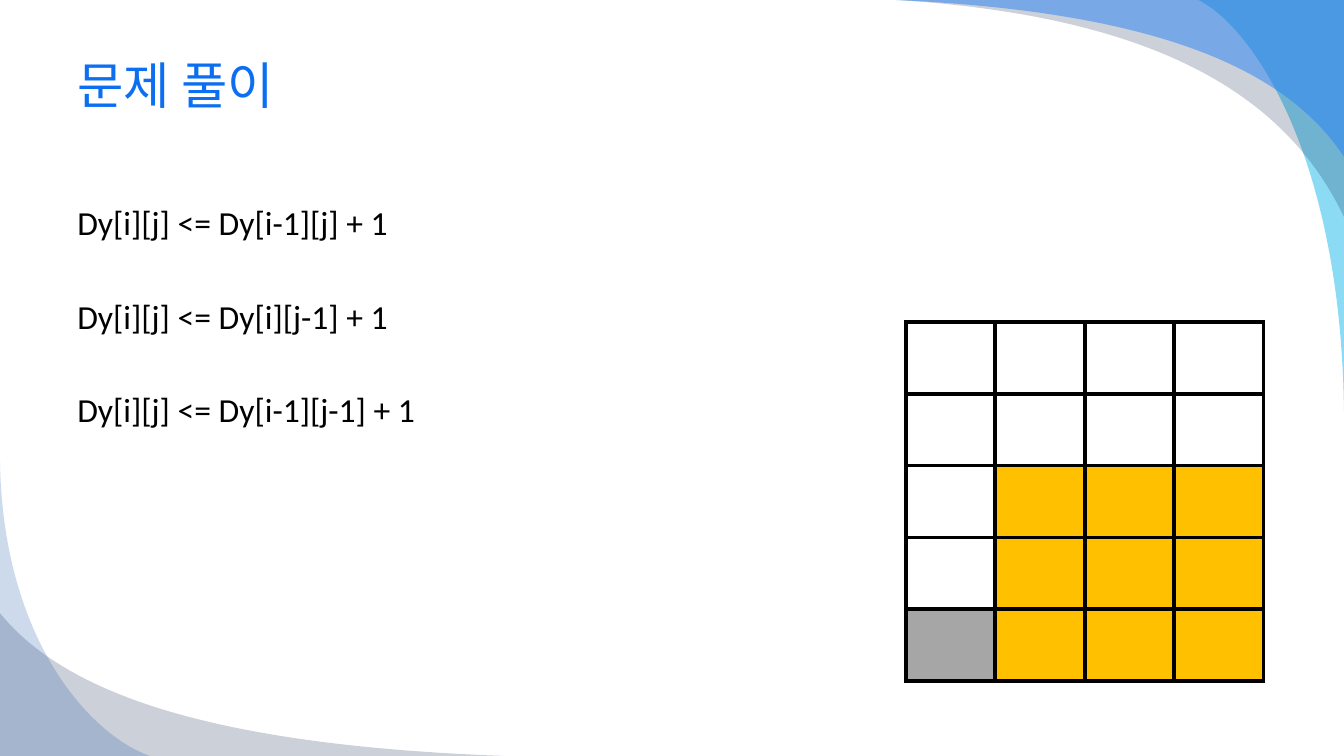
import dataclasses

import lxml.etree
import pptx
import pptx.dml.color
import pptx.enum.text
import pptx.oxml.ns
import pptx.util

Pt = pptx.util.Pt
RGBColor = pptx.dml.color.RGBColor
qn = pptx.oxml.ns.qn

TITLE_BLUE = RGBColor(0x0C, 0x6F, 0xF2)
BLACK = RGBColor(0x00, 0x00, 0x00)
WHITE = RGBColor(0xFF, 0xFF, 0xFF)
ORANGE = RGBColor(0xFF, 0xC0, 0x00)
GRAY = RGBColor(0xA6, 0xA6, 0xA6)
CYAN = RGBColor(0x00, 0xB1, 0xE9)
NAVY = RGBColor(0x02, 0x17, 0x41)
SKY = RGBColor(0x24, 0x7F, 0xF4)
DEEP_BLUE = RGBColor(0x08, 0x4A, 0xA1)

FONT = "Calibri"
CURVE_STEPS = 48
WIDE = ((0, 0), (0.54, 0.07), (0.86, 0.39), (1, 1))
TALL = ((0, 0), (0.39, 0.07), (0.98, 0.39), (1, 1))


@dataclasses.dataclass(frozen=True)
class Ribbon:
    curve: tuple
    left: float
    top: float
    width: float
    height: float
    color: RGBColor
    opacity: int


RIBBONS = [
    Ribbon(TALL, 856, 0, 104, 294, CYAN, 45),
    Ribbon(WIDE, 640, 0, 320, 155, NAVY, 20),
    Ribbon(WIDE, 640, 0, 320, 112, SKY, 49),
    Ribbon(WIDE, 360, 540, -360, -102, NAVY, 20),
    Ribbon(TALL, 107, 540, -107, -210, DEEP_BLUE, 20),
]

RECURRENCES = [
    "Dy[i][j] <= Dy[i-1][j] + 1",
    "Dy[i][j] <= Dy[i][j-1] + 1",
    "Dy[i][j] <= Dy[i-1][j-1] + 1",
]

GRID_ROWS, GRID_COLUMNS = 5, 4
GRID_LEFT, GRID_TOP = 647, 230
COLUMN_WIDTH, ROW_HEIGHT = 63.9, 51.3
BORDER_WIDTH = 3


def bezier_point(curve: tuple, t: float) -> tuple[float, float]:
    weights = ((1 - t) ** 3, 3 * t * (1 - t) ** 2, 3 * t**2 * (1 - t), t**3)
    return (
        sum(weight * x for weight, (x, _) in zip(weights, curve)),
        sum(weight * y for weight, (_, y) in zip(weights, curve)),
    )


def draw_ribbon(slide, ribbon: Ribbon, depth: int) -> None:
    outline = [(1, 0)]
    outline += [bezier_point(ribbon.curve, i / CURVE_STEPS) for i in range(CURVE_STEPS + 1)]
    corner, *sweep = [
        (Pt(ribbon.left + x * ribbon.width), Pt(ribbon.top + y * ribbon.height))
        for x, y in outline
    ]
    builder = slide.shapes.build_freeform(*corner)
    builder.add_line_segments(sweep, close=True)
    band = builder.convert_to_shape()
    band.shadow.inherit = False
    band.line.fill.background()
    band.fill.solid()
    band.fill.fore_color.rgb = ribbon.color
    tint = band.element.spPr.find(qn("a:solidFill"))[0]
    lxml.etree.SubElement(tint, qn("a:alpha"), val=str(ribbon.opacity * 1000))
    slide.shapes.element.insert(2 + depth, band.element)


def write(paragraph, text: str, *, size: float, color: RGBColor, space_before: float = 0) -> None:
    paragraph.alignment = pptx.enum.text.PP_ALIGN.LEFT
    paragraph.space_before = Pt(space_before)
    properties = paragraph._p.get_or_add_pPr()
    properties.set("marL", "0")
    properties.set("indent", "0")
    lxml.etree.SubElement(properties, qn("a:buNone"))
    run = paragraph.add_run()
    run.text = text
    run.font.name = FONT
    run.font.size = Pt(size)
    run.font.color.rgb = color


def place(placeholder, left: float, top: float, width: float, height: float) -> None:
    placeholder.left, placeholder.top = Pt(left), Pt(top)
    placeholder.width, placeholder.height = Pt(width), Pt(height)
    placeholder.text_frame.word_wrap = True
    placeholder.text_frame.auto_size = pptx.enum.text.MSO_AUTO_SIZE.NONE


def cell_color(row: int, column: int) -> RGBColor:
    if row >= 2 and column >= 1:
        return ORANGE
    if row == GRID_ROWS - 1:
        return GRAY
    return WHITE


def format_cell(cell, color: RGBColor) -> None:
    properties = cell._tc.get_or_add_tcPr()
    for side in ("a:lnL", "a:lnR", "a:lnT", "a:lnB"):
        border = lxml.etree.SubElement(properties, qn(side), w=str(Pt(BORDER_WIDTH)))
        ink = lxml.etree.SubElement(border, qn("a:solidFill"))
        lxml.etree.SubElement(ink, qn("a:srgbClr"), val=str(BLACK))
    cell.fill.solid()
    cell.fill.fore_color.rgb = color


def draw_grid(slide) -> None:
    grid = slide.shapes.add_table(
        GRID_ROWS, GRID_COLUMNS, Pt(GRID_LEFT), Pt(GRID_TOP),
        Pt(GRID_COLUMNS * COLUMN_WIDTH), Pt(GRID_ROWS * ROW_HEIGHT),
    ).table
    grid.first_row = False
    grid.horz_banding = False
    for column in grid.columns:
        column.width = Pt(COLUMN_WIDTH)
    for row in grid.rows:
        row.height = Pt(ROW_HEIGHT)
    for row in range(GRID_ROWS):
        for column in range(GRID_COLUMNS):
            format_cell(grid.cell(row, column), cell_color(row, column))


def main() -> None:
    presentation = pptx.Presentation()
    presentation.slide_width, presentation.slide_height = Pt(960), Pt(540)
    slide = presentation.slides.add_slide(presentation.slide_layouts[1])

    for depth, ribbon in enumerate(RIBBONS):
        draw_ribbon(slide, ribbon, depth)

    heading = slide.shapes.title
    place(heading, 48, 24, 864, 73)
    heading.text_frame.vertical_anchor = pptx.enum.text.MSO_ANCHOR.MIDDLE
    write(heading.text_frame.paragraphs[0], "문제 풀이", size=36, color=TITLE_BLUE)

    recurrences = slide.placeholders[1]
    place(recurrences, 48, 106.5, 864, 391)
    frame = recurrences.text_frame
    frame.margin_top = Pt(38)
    for index, recurrence in enumerate(RECURRENCES):
        paragraph = frame.add_paragraph() if index else frame.paragraphs[0]
        write(paragraph, recurrence, size=24, color=BLACK, space_before=37.8 if index else 0)

    draw_grid(slide)
    presentation.save("out.pptx")


if __name__ == "__main__":
    main()
